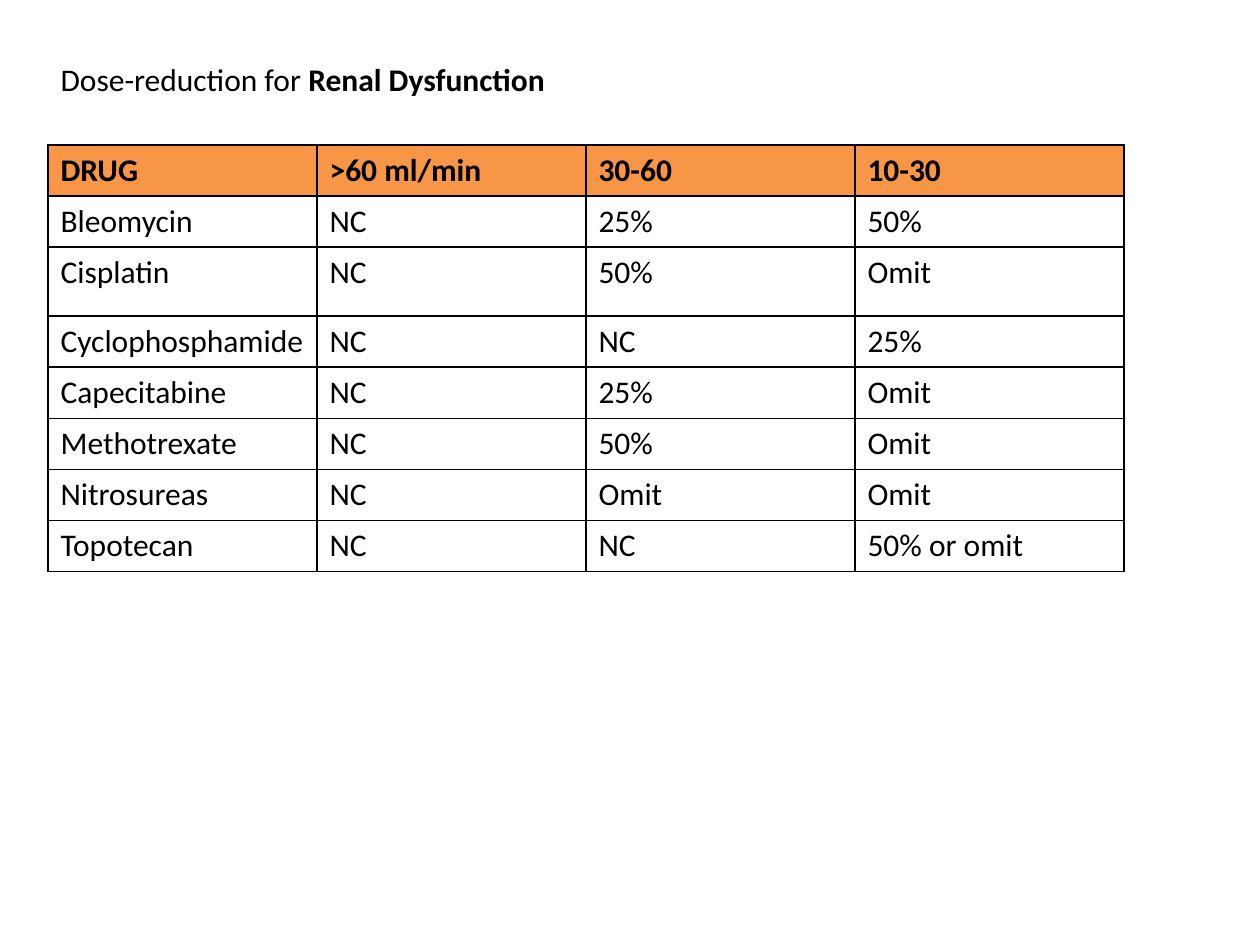
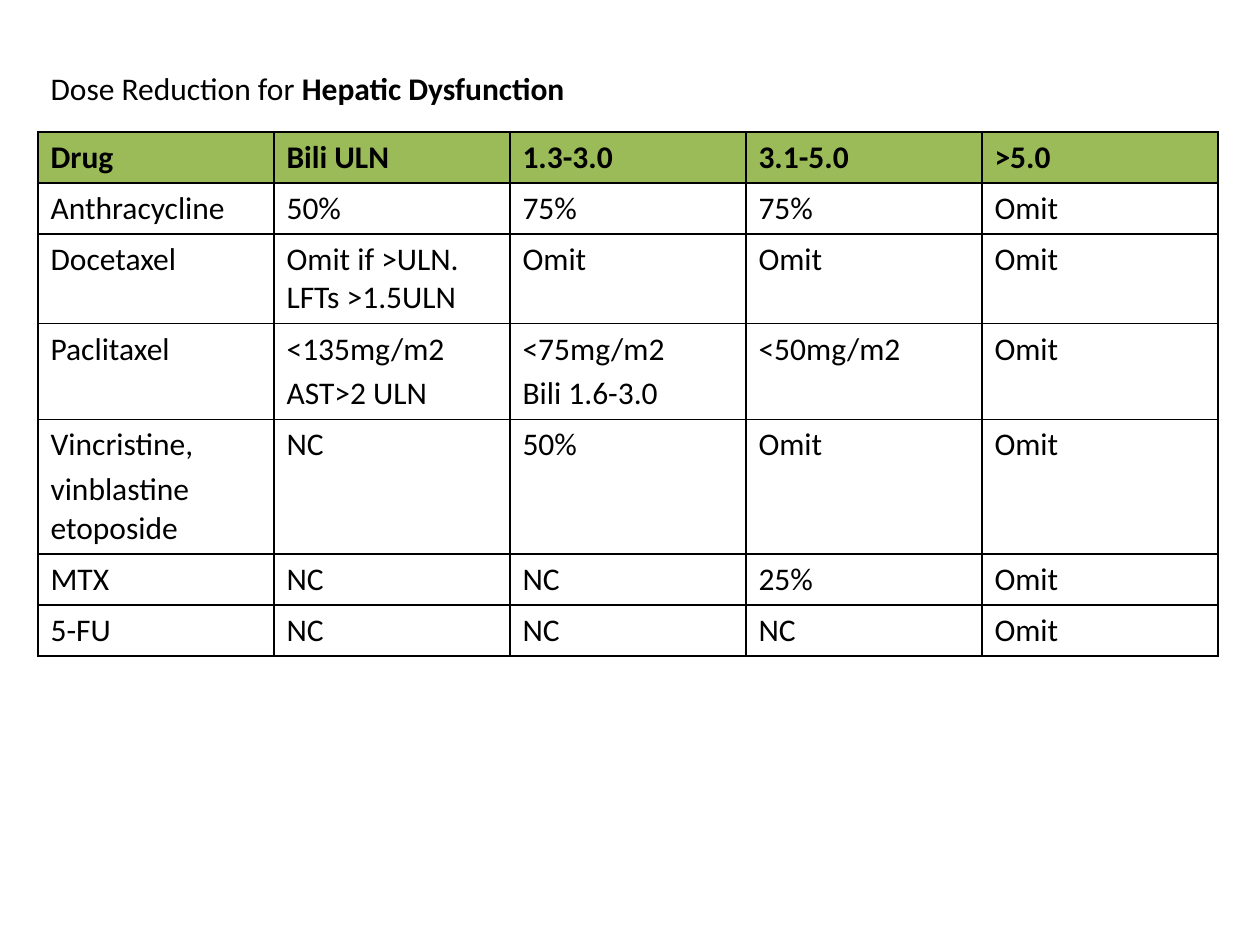
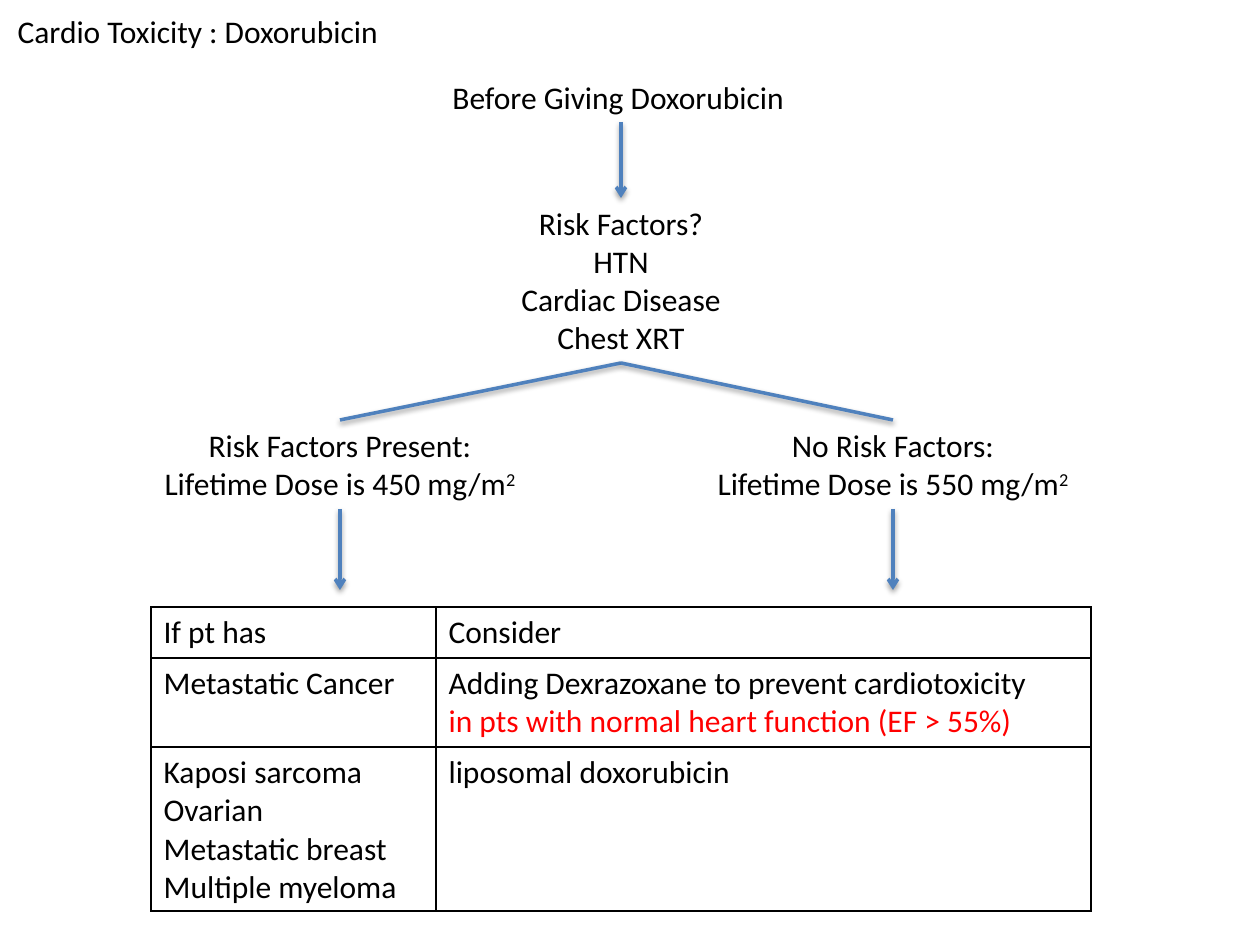
from lxml import etree
from pptx import Presentation
from pptx.dml.color import RGBColor
from pptx.enum.shapes import MSO_CONNECTOR
from pptx.enum.text import MSO_ANCHOR, MSO_AUTO_SIZE, PP_ALIGN
from pptx.oxml import parse_xml
from pptx.oxml.ns import nsdecls, qn
from pptx.util import Emu, Inches, Pt

STRAIGHT = MSO_CONNECTOR.STRAIGHT
TOP = MSO_ANCHOR.TOP
NO_FIT = MSO_AUTO_SIZE.NONE
LEFT, CENTER = PP_ALIGN.LEFT, PP_ALIGN.CENTER
PX = 914400 / 126
COLORS = {"text": "000000", "renal": "F79646", "hepatic": "9BBB59",
          "arrow": "4F81BD", "alert": "FF0000"}
BORDER = (f'<a:{{}} {nsdecls("a")} w="12700"><a:solidFill>'
          f'<a:srgbClr val="{COLORS["text"]}"/></a:solidFill></a:{{}}>')
SHADOW = (f'<a:effectLst {nsdecls("a")}>'
          '<a:outerShdw blurRad="40000" dist="20000" dir="5400000" rotWithShape="0">'
          f'<a:srgbClr val="{COLORS["text"]}"><a:alpha val="38000"/></a:srgbClr>'
          '</a:outerShdw></a:effectLst>')


def write(frame, text, align=LEFT, bold=False, gap=0):
    frame.text = text
    for number, para in enumerate(frame.paragraphs):
        para.alignment = align
        if number:
            para.space_before = Pt(gap)
        para.font.name = "Calibri"
        para.font.size = Pt(18)
        para.font.bold = bold
        para.font.color.rgb = RGBColor.from_string(COLORS["text"])


def add_grid(page, left, top, widths, heights, rows, header=None, gap=0):
    frame = page.shapes.add_table(
        len(rows), len(widths), Emu(int(left * PX)), Emu(int(top * PX)),
        Emu(int(sum(widths) * PX)), Emu(int(sum(heights) * PX)))
    table = frame.table
    table.first_row = header is not None
    table.horz_banding = False
    for column, width in zip(table.columns, widths):
        column.width = Emu(int(width * PX))
    for row, height in zip(table.rows, heights):
        row.height = Emu(int(height * PX))
    for row_number, row in enumerate(rows):
        is_header = header is not None and row_number == 0
        for column_number, text in enumerate(row):
            cell = table.cell(row_number, column_number)
            write(cell.text_frame, text, bold=is_header, gap=gap)
            properties = cell._tc.get_or_add_tcPr()
            for side in ("lnL", "lnR", "lnT", "lnB"):
                properties.append(parse_xml(BORDER.format(side, side)))
            if is_header:
                cell.fill.solid()
                cell.fill.fore_color.rgb = RGBColor.from_string(COLORS[header])
            else:
                cell.fill.background()
    return table


deck = Presentation()
deck.slide_width = Inches(10)
deck.slide_height = Inches(7.5)

titles = [
    ("Dose-reduction for ", "Renal Dysfunction", 48, 54, 517),
    ("Dose Reduction for ", "Hepatic Dysfunction", 38, 63, 547),
    ("Cardio Toxicity : Doxorubicin", "", 5, 6, 394),
]
pages = []
for plain, strong, left, top, width in titles:
    page = deck.slides.add_slide(deck.slide_layouts[5])
    title = page.shapes.title
    title.left, title.top, title.width, title.height = (
        Emu(int(length * PX)) for length in (left, top, width, 50))
    frame = title.text_frame
    write(frame, plain)
    frame.word_wrap = False
    frame.auto_size = NO_FIT
    frame.vertical_anchor = TOP
    if strong:
        span = frame.paragraphs[0].add_run()
        span.text = strong
        span.font.bold = True
    pages.append(page)
renal_page, hepatic_page, cardiac_page = pages

renal_rows = [
    ("DRUG", ">60 ml/min", "30-60", "10-30"),
    ("Bleomycin", "NC", "25%", "50%"),
    ("Cisplatin", "NC", "50%", "Omit"),
    ("Cyclophosphamide", "NC", "NC", "25%"),
    ("Capecitabine", "NC", "25%", "Omit"),
    ("Methotrexate", "NC", "50%", "Omit"),
    ("Nitrosureas", "NC", "Omit", "Omit"),
    ("Topotecan", "NC", "NC", "50% or omit"),
]
add_grid(renal_page, 48, 145, [269] * 4, [51, 51, 69] + [51] * 5,
         renal_rows, "renal", 3.6)

hepatic_rows = [
    ("Drug", "Bili ULN", "1.3-3.0", "3.1-5.0", ">5.0"),
    ("Anthracycline", "50%", "75%", "75%", "Omit"),
    ("Docetaxel", "Omit if >ULN. LFTs >1.5ULN", "Omit", "Omit", "Omit"),
    ("Paclitaxel", "<135mg/m2\nAST>2 ULN", "<75mg/m2\nBili 1.6-3.0", "<50mg/m2", "Omit"),
    ("Vincristine,\nvinblastine etoposide", "NC", "50%", "Omit", "Omit"),
    ("MTX", "NC", "NC", "25%", "Omit"),
    ("5-FU", "NC", "NC", "NC", "Omit"),
]
add_grid(hepatic_page, 38, 132, [236] * 5, [51, 51, 88, 95, 132, 51, 51],
         hepatic_rows, "hepatic", 3.6)

steps = [
    ("before", "Before Giving Doxorubicin", LEFT, 440, 72, 362, 50),
    ("factors", "Risk Factors?\nHTN\nCardiac Disease\nChest XRT", CENTER, 465, 198, 312, 165),
    ("present", "Risk Factors Present:\nLifetime Dose is 450 mg/m", CENTER, 150, 420, 380, 89),
    ("absent", "No Risk Factors:\nLifetime Dose is 550 mg/m", CENTER, 703, 420, 380, 89),
]
boxes = {}
for name, text, align, *place in steps:
    box = cardiac_page.shapes.add_textbox(*(Emu(int(length * PX)) for length in place))
    box.text_frame.word_wrap = name == "factors"
    write(box.text_frame, text, align)
    boxes[name] = box
for name in ("present", "absent"):
    span = boxes[name].text_frame.paragraphs[1].add_run()
    span.text = "2"
    span._r.get_or_add_rPr().set("baseline", "30000")

links = [
    ("before", "factors", True),
    ("factors", "present", False),
    ("factors", "absent", False),
    ("present", None, True),
    ("absent", None, True),
]
for start, end, has_head in links:
    source = boxes[start]
    middle = source.left + source.width // 2
    link = cardiac_page.shapes.add_connector(
        STRAIGHT, middle, source.top + source.height, middle, Emu(int(590 * PX)))
    link.begin_connect(source, 2)
    if end:
        link.end_connect(boxes[end], 0)
    link.line.width = Pt(2)
    link.line.color.rgb = RGBColor.from_string(COLORS["arrow"])
    if has_head:
        etree.SubElement(link.line._get_or_add_ln(), qn("a:tailEnd"), type="arrow")
    link._element.spPr.append(parse_xml(SHADOW))

advice_rows = [
    ("If pt has", "Consider"),
    ("Metastatic Cancer",
     "Adding Dexrazoxane to prevent cardiotoxicity\n"
     "in pts with normal heart function (EF > 55%)"),
    ("Kaposi sarcoma\nOvarian\nMetastatic breast\nMultiple myeloma", "liposomal doxorubicin"),
]
advice = add_grid(cardiac_page, 151, 607, [285, 655], [51, 89, 163], advice_rows)
condition = advice.cell(1, 1).text_frame.paragraphs[1]
condition.font.color.rgb = RGBColor.from_string(COLORS["alert"])

deck.save("out.pptx")
